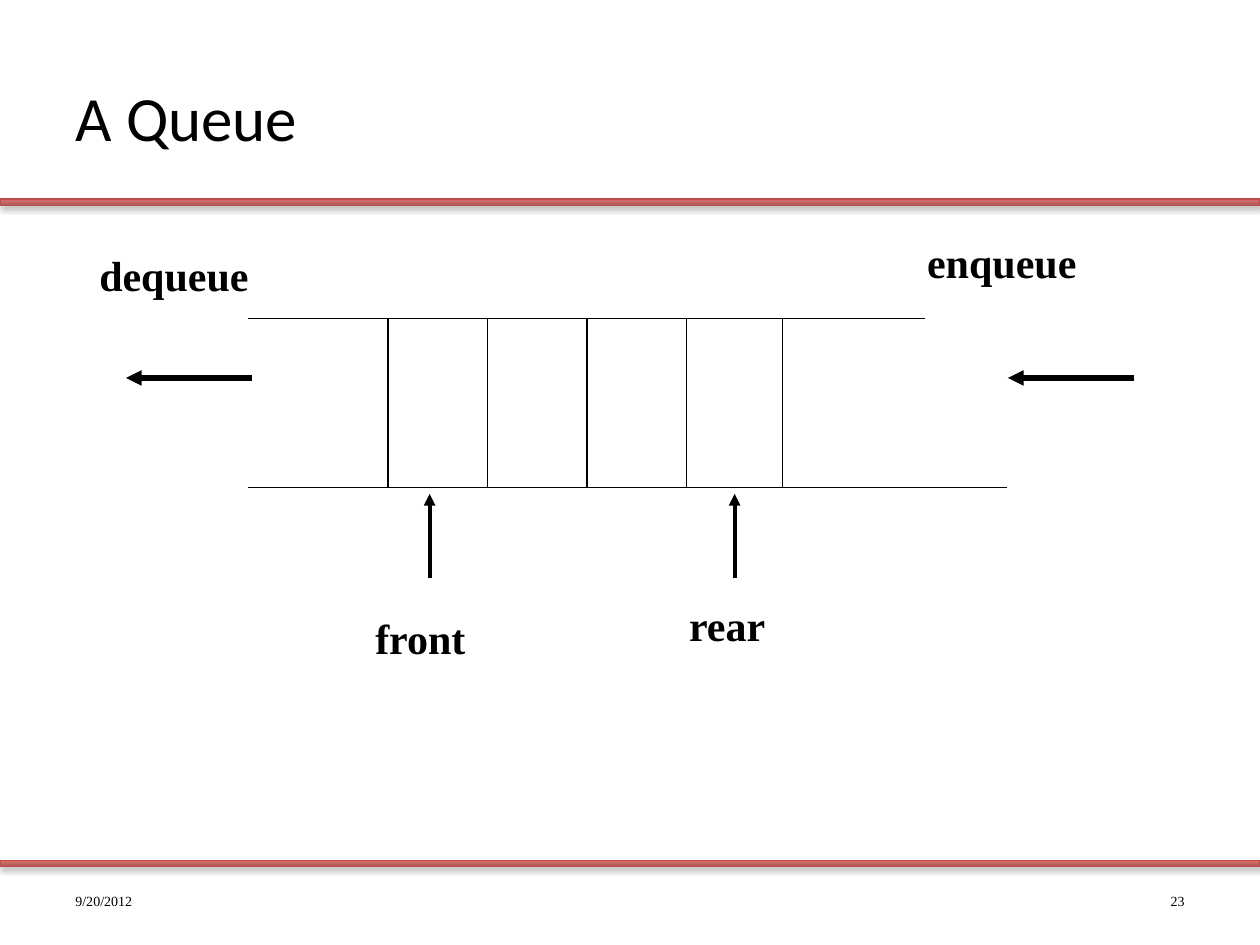
import pptx
import pptx.util
import pptx.dml.color
import pptx.enum.shapes
import pptx.enum.text
import pptx.oxml
import pptx.oxml.ns
import lxml.etree

WIDTH, HEIGHT = 10, 7.5
SERIF = "Times New Roman"
BLACK = "000000"
LEFT, RIGHT = pptx.enum.text.PP_ALIGN.LEFT, pptx.enum.text.PP_ALIGN.RIGHT
TOP, MIDDLE = pptx.enum.text.MSO_ANCHOR.TOP, pptx.enum.text.MSO_ANCHOR.MIDDLE
qn = pptx.oxml.ns.qn
inch = pptx.util.Inches


def color(value):
    return pptx.dml.color.RGBColor.from_string(value)


def xml(body):
    """Parse one DrawingML element."""
    head, rest = body.split(" ", 1)
    return pptx.oxml.parse_xml(f"{head} {pptx.oxml.ns.nsdecls('a')} {rest}")


def add_text(slide, box, words, size, font=SERIF, bold=False, align=LEFT, anchor=TOP):
    frame = slide.shapes.add_textbox(*map(inch, box)).text_frame
    frame.word_wrap = True
    frame.vertical_anchor = anchor
    paragraph = frame.paragraphs[0]
    paragraph.alignment = align
    run = paragraph.add_run()
    run.text = words
    run.font.size = pptx.util.Pt(size)
    run.font.name = font
    run.font.bold = bold
    run.font.color.rgb = color(BLACK)


def style_stroke(stroke, weight, arrow):
    stroke.line.color.rgb = color(BLACK)
    stroke.line.width = pptx.util.Pt(weight)
    if arrow:
        stroke.line._get_or_add_ln().append(xml('<a:tailEnd type="triangle"/>'))


def add_line(slide, start, end, weight=0.75, arrow=False):
    line = slide.shapes.add_connector(
        pptx.enum.shapes.MSO_CONNECTOR.STRAIGHT, *map(inch, (*start, *end)))
    style_stroke(line, weight, arrow)
    line._element.spPr.append(xml("<a:effectLst />"))


def add_curved_arrow(slide, points):
    """Draw a start point followed by triples of Bezier points."""
    builder = slide.shapes.build_freeform(*points[0], scale=inch(1))
    builder.add_line_segments(points[1:], close=False)
    curve = builder.convert_to_shape()
    curve.shadow.inherit = False
    curve.fill.background()
    style_stroke(curve, 3, arrow=True)
    # Merge every three straight segments into one cubic segment
    segments = list(curve._element.iter(qn("a:lnTo")))
    for first in range(0, len(segments), 3):
        triple = segments[first:first + 3]
        cubic = lxml.etree.Element(qn("a:cubicBezTo"))
        triple[0].addprevious(cubic)
        for segment in triple:
            cubic.append(segment[0])
            segment.getparent().remove(segment)


def add_rule(slide, top):
    """Red band across the slide, with a gradient and a soft shadow."""
    rule = slide.shapes.add_shape(
        pptx.enum.shapes.MSO_SHAPE.RECTANGLE, *map(inch, (0, top, WIDTH, 0.05)))
    rule.line.color.rgb = color("BF4C48")
    rule.line.width = pptx.util.Pt(0.75)
    rule.shadow.inherit = False
    stops = "".join(
        f'<a:gs pos="{share * 1000}"><a:srgbClr val="{tone}"><a:alpha val="73000"/></a:srgbClr></a:gs>'
        for share, tone in ((0, "9C2F2D"), (80, "CB3E3A"), (100, "CE3B37")))
    properties = rule._element.spPr
    properties.find(qn("a:prstGeom")).addnext(xml(
        f'<a:gradFill rotWithShape="1"><a:gsLst>{stops}</a:gsLst>'
        '<a:lin ang="16200000" scaled="0"/></a:gradFill>'))
    properties.find(qn("a:effectLst")).append(xml(
        '<a:outerShdw blurRad="39370" dist="22860" dir="5400000" rotWithShape="0">'
        '<a:srgbClr val="000000"><a:alpha val="35000"/></a:srgbClr></a:outerShdw>'))


def add_header(slide, left, top, width, height):
    add_rule(slide, top + height + 0.03)
    add_text(slide, (left, top, width, height), "A Queue", 36, "Calibri", anchor=MIDDLE)


def add_footer(slide, left, top, width, height):
    add_rule(slide, top - 0.12)
    part = 2.33
    add_text(slide, (left, top, part, height), "9/20/2012", 8, anchor=MIDDLE)
    add_text(slide, (left + width - part, top, part, height), "23", 8,
             align=RIGHT, anchor=MIDDLE)


def add_queue(slide, left, top, width, height):
    bottom = top + height
    first, cell, last = left + 1.11, 0.79, left + 4.24

    # Open-ended rails and cell dividers
    add_line(slide, (left, top), (left + 5.37, top))
    add_line(slide, (left, bottom), (left + width, bottom))
    for x in [first + cell * index for index in range(4)] + [last]:
        add_line(slide, (x, top), (x, bottom))

    # Pointers to the first and last cells
    for words, x, label_x, label_y in (("front", 1.44, 0.91, 0.94), ("rear", 3.86, 3.4, 0.84)):
        add_line(slide, (left + x, bottom + 0.72), (left + x, bottom + 0.05), 2.25, arrow=True)
        add_text(slide, (left + label_x, bottom + label_y, 1.11, 0.67), words, 24, bold=True)

    # Operations at the two open ends
    operations = (
        ("dequeue", -1.28, -0.6,
         [(0.16, 0.67), (-0.02, 0.65), (-0.19, 0.63), (-0.32, 0.67),
          (-0.45, 0.71), (-0.54, 0.8), (-0.64, 0.89)]),
        ("enqueue", 5.29, -0.7,
         [(6.65, 0.67), (6.43, 0.56), (6.2, 0.45), (6.02, 0.45),
          (5.83, 0.45), (5.69, 0.56), (5.54, 0.67)]),
    )
    for words, label_x, label_y, bend in operations:
        add_text(slide, (left + label_x, top + label_y, 1.74, 0.5), words, 24, bold=True)
        add_curved_arrow(slide, [(left + x, top + y) for x, y in bend])


deck = pptx.Presentation()
deck.slide_width, deck.slide_height = inch(WIDTH), inch(HEIGHT)
queue_slide = deck.slides.add_slide(deck.slide_layouts[6])
margin = WIDTH * 0.05
add_header(queue_slide, margin, HEIGHT * 0.04, WIDTH - 2 * margin, 1.25)
add_footer(queue_slide, margin, 6.95, WIDTH - 2 * margin, 0.4)
add_queue(queue_slide, 1.97, 2.53, 6.02, 1.34)
deck.save("out.pptx")
